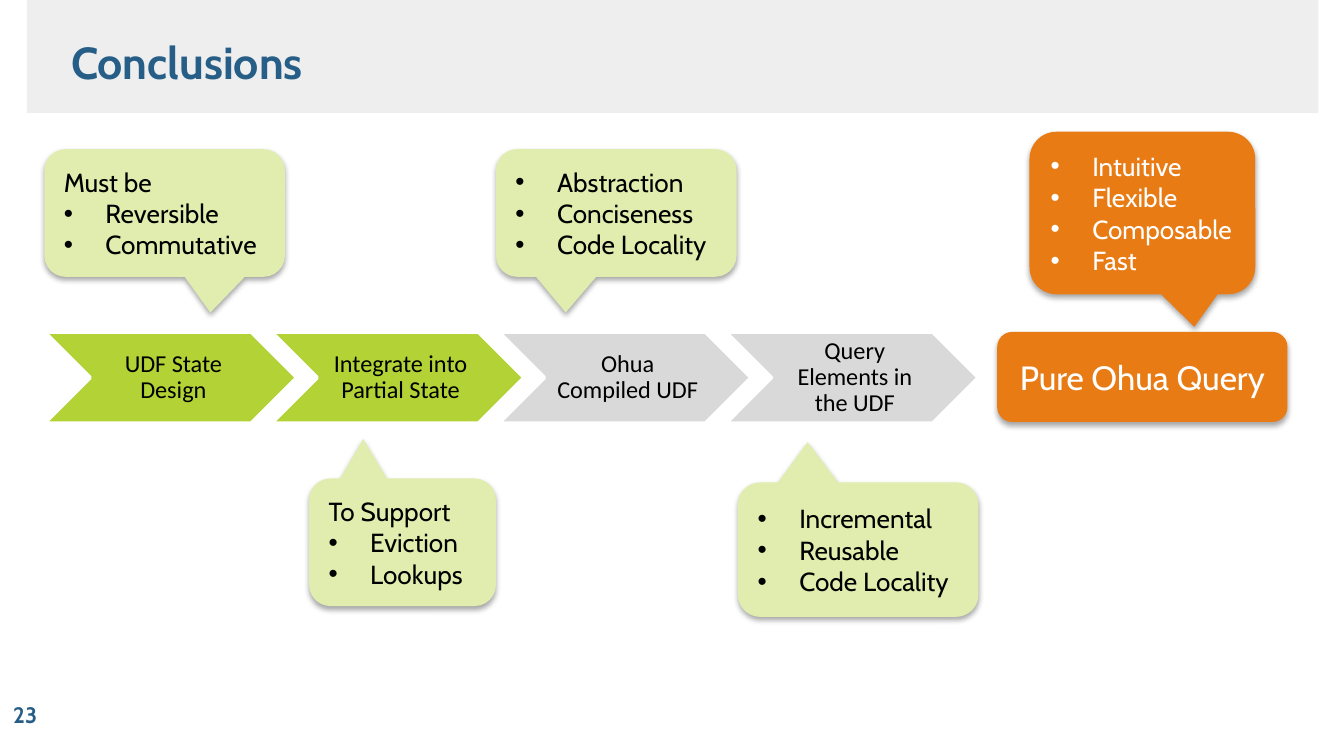
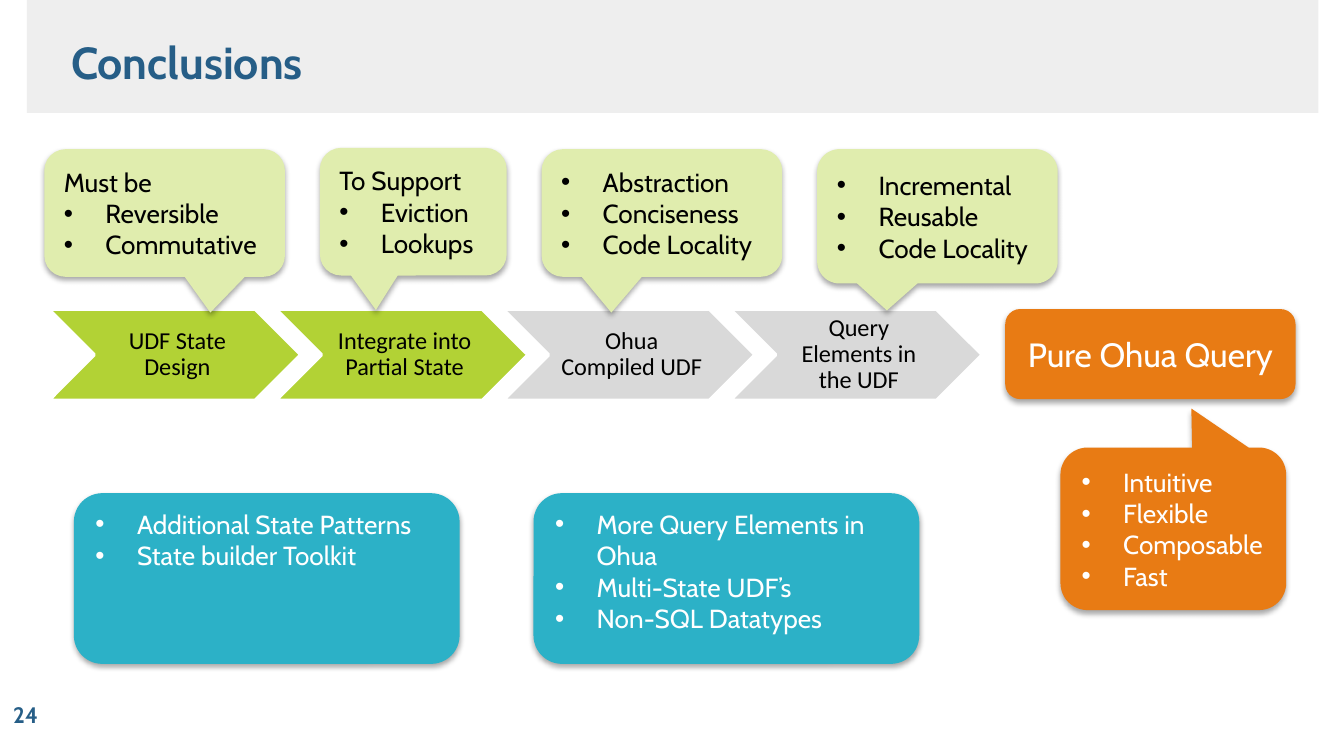
from lxml.etree import SubElement
from pptx import Presentation
from pptx.dml.color import RGBColor
from pptx.enum.shapes import MSO_SHAPE
from pptx.enum.text import MSO_ANCHOR, PP_ALIGN
from pptx.oxml.ns import qn
from pptx.util import Inches, Pt

# Shared look
PAGE_WIDTH = 10
PAGE_HEIGHT = PAGE_WIDTH * 9 / 16
NAVY, BAND, BLACK, WHITE = "265E87", "EEEEEE", "000000", "FFFFFF"
GREEN, GREY, PALE, ORANGE, TEAL = "B2D235", "D9D9D9", "E0EDAE", "E87B14", "2CB1C7"
HEAD_FONT, STEP_FONT = "Cabin", "Calibri"
STEP_WIDTH, STEP_HEIGHT, STEP_PITCH = 1.88, 0.68, 1.69
LABEL_WIDTH, LABEL_INSETS = 1.2, (0.06, 0.02, 0.02, 0.02)
CORNER = 1 / 6

# Content
TITLE = "Conclusions"
GOAL = "Pure Ohua Query"
STEPS = [
    ("UDF State Design", GREEN),
    ("Integrate into Partial State", GREEN),
    ("Ohua Compiled UDF", GREY),
    ("Query Elements in the UDF", GREY),
]
# Name: (heading, bullets, fill, text colour)
NOTES = {
    "state": ("Must be", ["Reversible", "Commutative"], PALE, BLACK),
    "partial": ("To Support", ["Eviction", "Lookups"], PALE, BLACK),
    "compiled": (None, ["Abstraction", "Conciseness", "Code Locality"], PALE, BLACK),
    "elements": (None, ["Incremental", "Reusable", "Code Locality"], PALE, BLACK),
    "query": (None, ["Intuitive", "Flexible", "Composable", "Fast"], ORANGE, WHITE),
}
# Callouts: note name, box, pointer tip relative to the box centre
SLIDES = [
    {
        "number": "23",
        "steps": (0.33, 2.47),
        "goal": (7.42, 2.47, 2.16, 0.67),
        "callouts": [
            ("state", (0.33, 1.11, 1.79, 0.95), (0.19, 0.78)),
            ("partial", (2.3, 3.56, 1.39, 0.95), (-0.21, -0.81)),
            ("compiled", (3.69, 1.11, 1.79, 0.95), (-0.21, 0.78)),
            ("elements", (5.49, 3.59, 1.79, 1), (-0.21, -0.8)),
            ("query", (7.66, 0.98, 1.68, 1.21), (0.23, 0.7)),
        ],
        "outlook": [],
    },
    {
        "number": "24",
        "steps": (0.36, 2.3),
        "goal": (7.48, 2.3, 2.16, 0.67),
        "callouts": [
            ("state", (0.33, 1.11, 1.79, 0.95), (0.19, 0.78)),
            ("partial", (2.38, 1.1, 1.39, 0.95), (-0.2, 0.77)),
            ("compiled", (4.03, 1.11, 1.79, 0.95), (-0.21, 0.78)),
            ("elements", (6.08, 1.11, 1.79, 1), (-0.21, 0.7)),
            ("query", (7.89, 3.33, 1.68, 1.21), (0.08, -0.74)),
        ],
        "outlook": [
            ((0.55, 3.67, 2.87, 1.27),
             ["Additional State Patterns", "State builder Toolkit"]),
            ((3.97, 3.67, 2.87, 1.27),
             ["More Query Elements in Ohua", "Multi-State UDF’s", "Non-SQL Datatypes"]),
        ],
    },
]


def color(code):
    return RGBColor.from_string(code)


def inches(values):
    return [Inches(value) for value in values]


def add_box(shapes, kind, place, fill, line=None):
    box = shapes.add_shape(kind, *inches(place))
    box.shadow.inherit = False
    box.fill.solid()
    box.fill.fore_color.rgb = color(fill)
    if line:
        box.line.color.rgb = color(line)
        box.line.width = Pt(2)
    else:
        box.line.fill.background()
    return box


def add_shadow(box):
    effects = box._element.spPr.find(qn("a:effectLst"))
    outer = SubElement(effects, qn("a:outerShdw"), blurRad=str(Pt(3.1)),
                       dist=str(Pt(1.8)), dir="5400000", rotWithShape="0")
    shade = SubElement(outer, qn("a:srgbClr"), val=BLACK)
    SubElement(shade, qn("a:alpha"), val="35000")


def set_bullet(para):
    properties = para._p.get_or_add_pPr()
    properties.set("marL", str(Inches(0.31)))
    properties.set("indent", str(Inches(-0.31)))
    SubElement(properties, qn("a:buFont"), typeface="Arial")
    SubElement(properties, qn("a:buChar"), char="•")


def write(box, lines, size, ink, font=HEAD_FONT, bold=False,
          align=PP_ALIGN.LEFT, anchor=MSO_ANCHOR.MIDDLE, spacing=None):
    """Fill a box with lines, each a (text, has bullet) pair."""
    frame = box.text_frame
    frame.word_wrap = True
    frame.vertical_anchor = anchor
    for index, (text, bullet) in enumerate(lines):
        para = frame.add_paragraph() if index else frame.paragraphs[0]
        para.alignment = align
        if spacing:
            para.line_spacing = spacing
        if bullet:
            set_bullet(para)
        span = para.add_run()
        span.text = text
        span.font.name = font
        span.font.size = Pt(size)
        span.font.bold = bold
        span.font.color.rgb = color(ink)
    return frame


def add_frame(page, number):
    add_box(page.shapes, MSO_SHAPE.RECTANGLE, (0.2, 0, 9.61, 0.84), BAND)
    title = page.shapes.add_textbox(*inches((0.43, 0.21, 5.75, 0.55)))
    write(title, [(TITLE, False)], 24, NAVY, bold=True, anchor=MSO_ANCHOR.TOP)
    footer = page.shapes.add_textbox(*inches((0, 5.16, 0.55, 0.31)))
    write(footer, [(number, False)], 12, NAVY, bold=True)


def add_steps(page, left, top):
    group = page.shapes.add_group_shape()
    for index, (text, fill) in enumerate(STEPS):
        x = left + index * STEP_PITCH
        add_box(group.shapes, MSO_SHAPE.CHEVRON,
                (x, top, STEP_WIDTH, STEP_HEIGHT), fill, WHITE)
        label_left = x + (STEP_WIDTH - LABEL_WIDTH) / 2
        label = group.shapes.add_textbox(
            *inches((label_left, top, LABEL_WIDTH, STEP_HEIGHT)))
        frame = write(label, [(text, False)], 13, BLACK, STEP_FONT,
                      align=PP_ALIGN.CENTER, spacing=0.9)
        (frame.margin_left, frame.margin_top,
         frame.margin_right, frame.margin_bottom) = inches(LABEL_INSETS)


def add_callout(page, name, place, tip):
    heading, bullets, fill, ink = NOTES[name]
    callout = add_box(page.shapes, MSO_SHAPE.ROUNDED_RECTANGULAR_CALLOUT, place, fill)
    for index, value in enumerate((*tip, CORNER)):
        callout.adjustments[index] = value
    add_shadow(callout)
    lines = [(heading, False)] if heading else []
    write(callout, lines + [(text, True) for text in bullets], 14, ink)


def add_panel(page, place, fill, lines, size, **style):
    panel = add_box(page.shapes, MSO_SHAPE.ROUNDED_RECTANGLE, place, fill)
    add_shadow(panel)
    write(panel, lines, size, WHITE, **style)


def main():
    deck = Presentation()
    deck.slide_width, deck.slide_height = inches((PAGE_WIDTH, PAGE_HEIGHT))
    for content in SLIDES:
        page = deck.slides.add_slide(deck.slide_layouts[6])
        add_frame(page, content["number"])
        add_steps(page, *content["steps"])
        for name, place, tip in content["callouts"]:
            add_callout(page, name, place, tip)
        add_panel(page, content["goal"], ORANGE, [(GOAL, False)], 18,
                  align=PP_ALIGN.CENTER)
        for place, bullets in content["outlook"]:
            add_panel(page, place, TEAL, [(text, True) for text in bullets], 14,
                      anchor=MSO_ANCHOR.TOP)
    deck.save("out.pptx")


if __name__ == "__main__":
    main()
